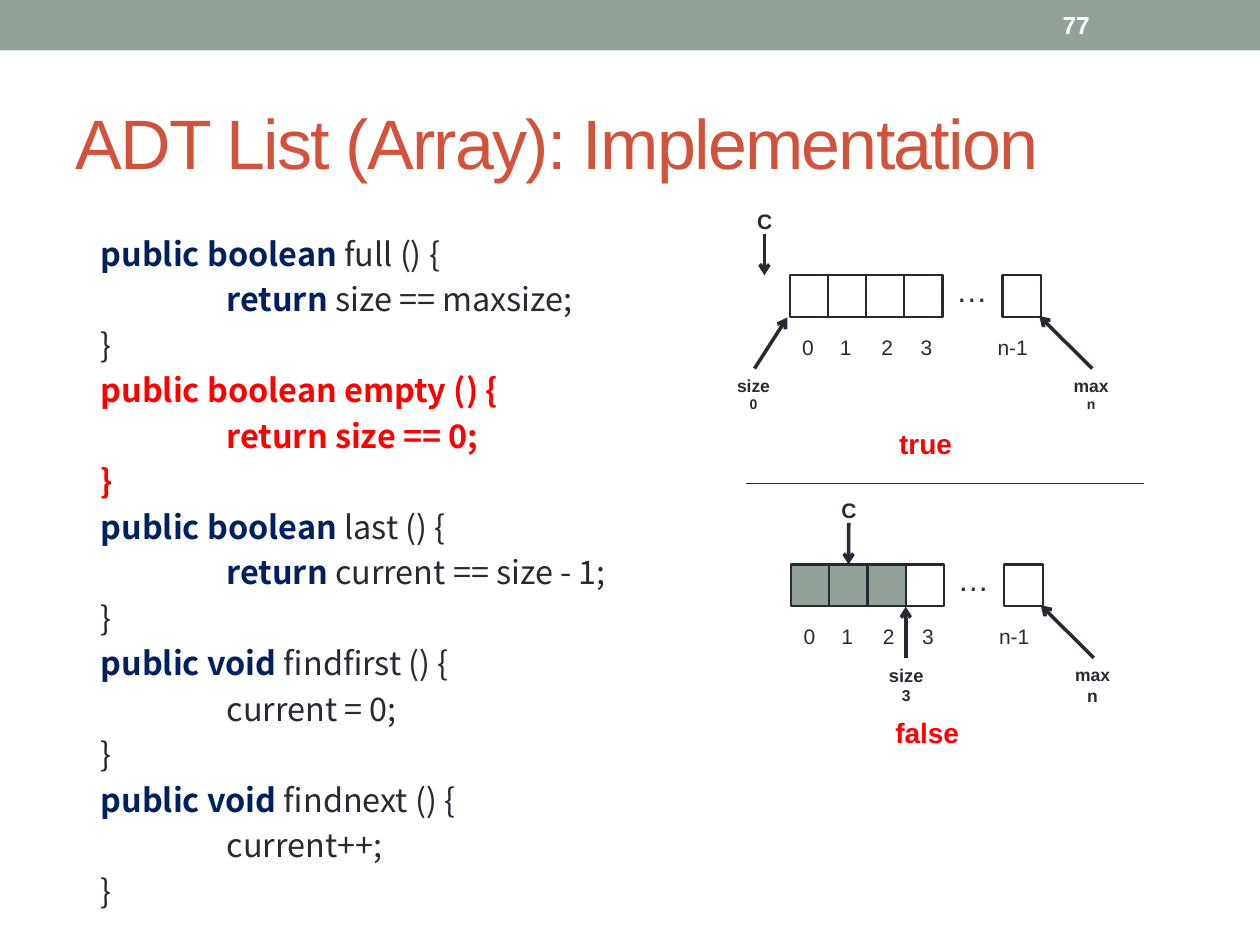
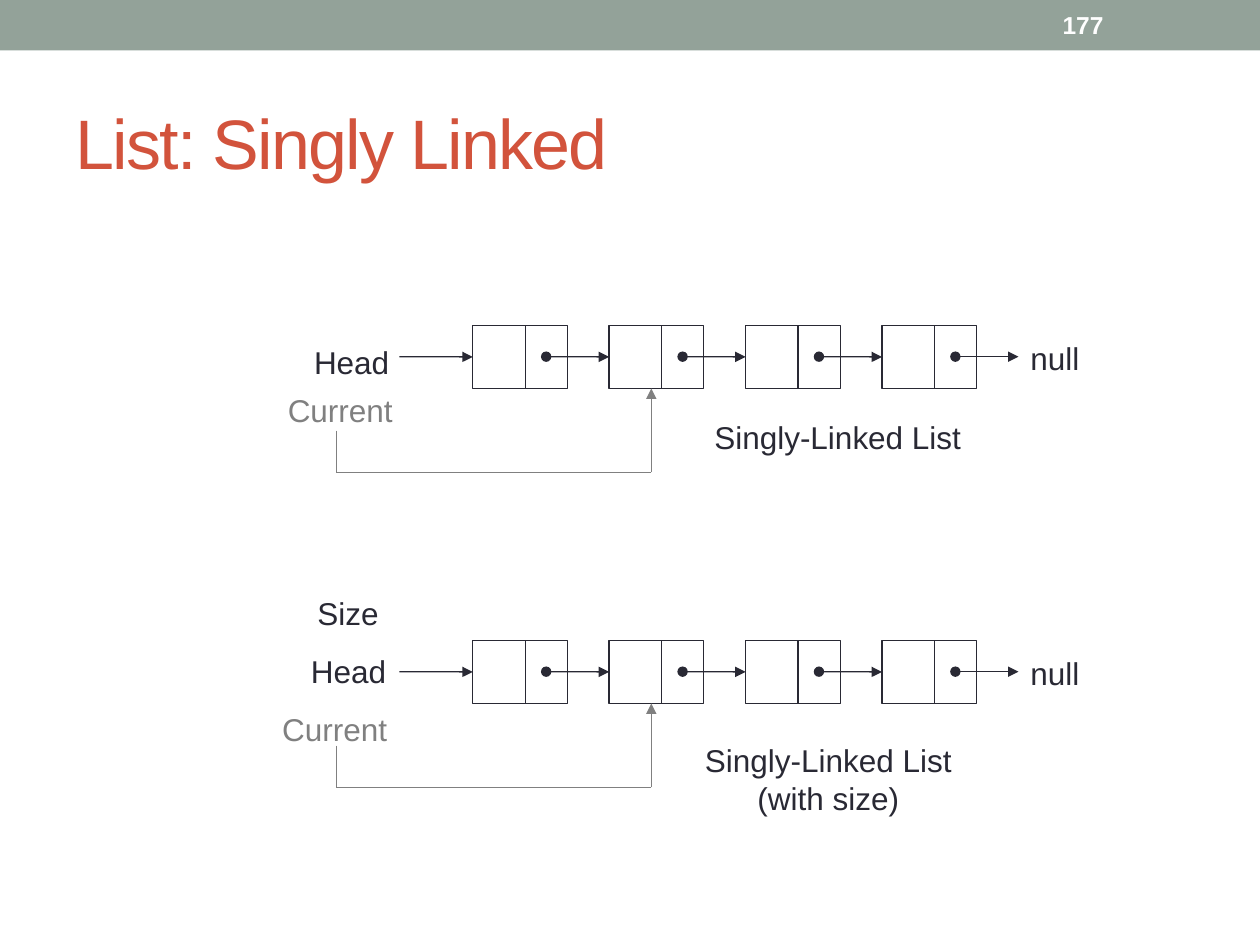
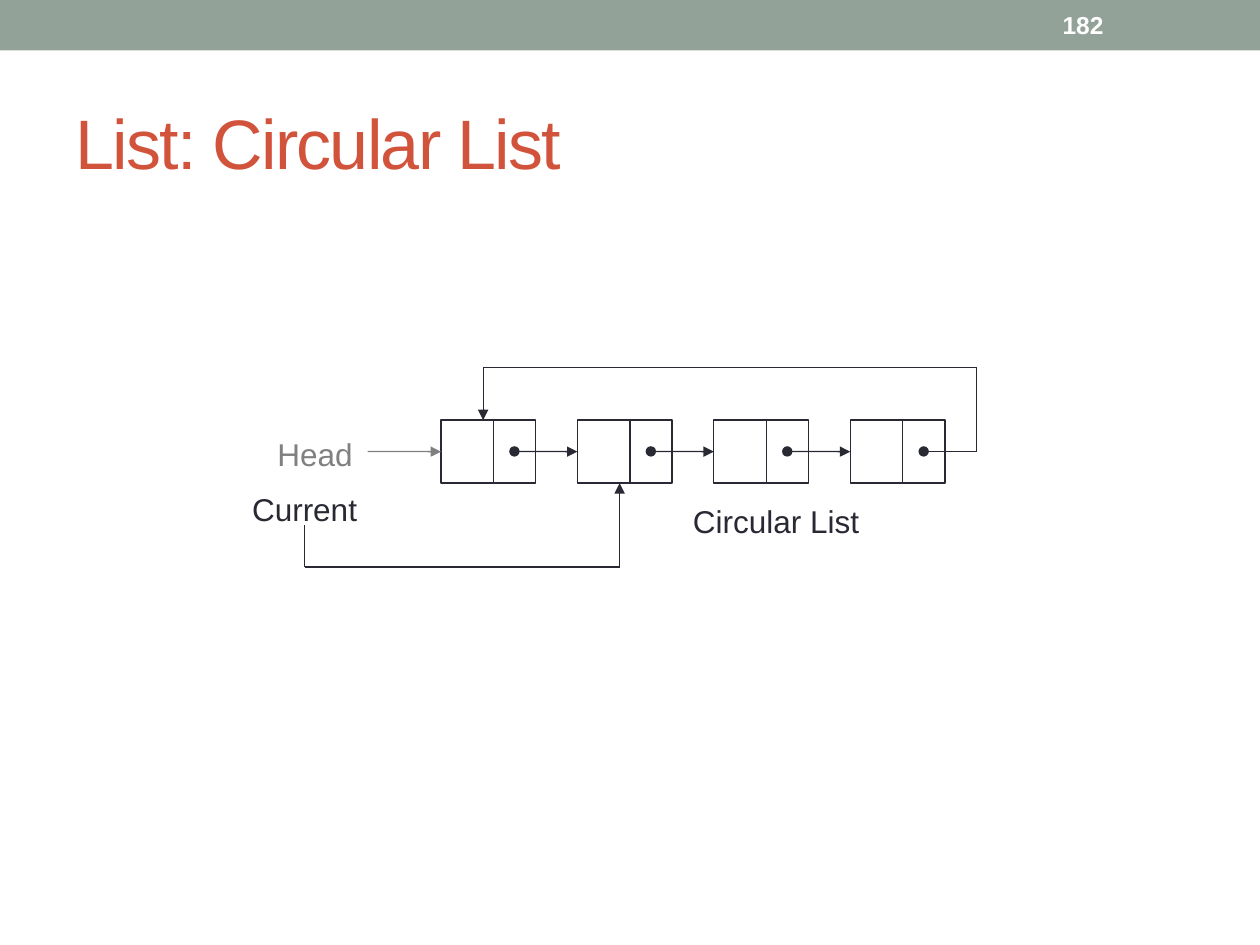
from pptx import Presentation
from pptx.dml.color import RGBColor
from pptx.enum.shapes import MSO_CONNECTOR, MSO_SHAPE
from pptx.enum.text import MSO_ANCHOR, PP_ALIGN
from pptx.oxml.ns import qn
from pptx.util import Cm, Pt
from lxml import etree

INK = RGBColor(0x29, 0x29, 0x34)
SAGE = RGBColor(0x93, 0xA2, 0x99)
RUST = RGBColor(0xD2, 0x53, 0x3C)
NAVY = RGBColor(0x00, 0x20, 0x60)
RED = RGBColor(0xFF, 0x00, 0x00)
GREY = RGBColor(0x80, 0x80, 0x80)
WHITE = RGBColor(0xFF, 0xFF, 0xFF)

RECT = MSO_SHAPE.RECTANGLE
STRAIGHT = MSO_CONNECTOR.STRAIGHT
LEFT, CENTER = PP_ALIGN.LEFT, PP_ALIGN.CENTER
TOP, MIDDLE = MSO_ANCHOR.TOP, MSO_ANCHOR.MIDDLE
SANS, MONO = "Arial", "Noto Sans CJK SC"

CODE = [
    (0, "public boolean ", "full () {", NAVY),
    (1, "return", " size == maxsize;", NAVY),
    (0, "", "}", NAVY),
    (0, "public boolean empty () {", "", RED),
    (1, "return size == 0;", "", RED),
    (0, "}", "", RED),
    (0, "public boolean ", "last () {", NAVY),
    (1, "return", " current == size - 1;", NAVY),
    (0, "", "}", NAVY),
    (0, "public void ", "findfirst () {", NAVY),
    (1, "", "current = 0;", NAVY),
    (0, "", "}", NAVY),
    (0, "public void ", "findnext () {", NAVY),
    (1, "", "current++;", NAVY),
    (0, "", "}", NAVY),
]


def apply(item, looks):
    for name, value in looks.items():
        setattr(item, name, value)


class Deck:
    def __init__(self):
        self.prs = Presentation()
        apply(self.prs, {"slide_width": Cm(25.4), "slide_height": Cm(19.05)})
        self.slide = None

    def page(self, title, number):
        self.slide = self.prs.slides.add_slide(self.prs.slide_layouts[6])
        self.rect(0, 0, 25.4, 1.02, SAGE, None)
        head = self.label(title, 1.27, 1.49, 22.86, 2.74, 40, RUST,
                          align=LEFT, anchor=MIDDLE, wrap=True)
        head.runs[0]._r.get_or_add_rPr().set("spc", "-100")
        self.label(number, 21.17, 0.05, 2.97, 0.91, 14, WHITE, True,
                   align=LEFT, anchor=MIDDLE, wrap=True)

    def rect(self, x, y, w, h, fill=None, width=0.75):
        shape = self.slide.shapes.add_shape(RECT, Cm(x), Cm(y), Cm(w), Cm(h))
        shape.shadow.inherit = False
        if fill is None:
            shape.fill.background()
        else:
            shape.fill.solid()
            shape.fill.fore_color.rgb = fill
        if width is None:
            shape.line.fill.background()
        else:
            shape.line.color.rgb = INK
            shape.line.width = Pt(width)
        return shape

    def frame(self, x, y, w, h, anchor=TOP, wrap=False):
        box = self.slide.shapes.add_textbox(Cm(x), Cm(y), Cm(w), Cm(h))
        apply(box.text_frame, {"word_wrap": wrap, "vertical_anchor": anchor})
        return box.text_frame

    def run(self, para, words, size, color, bold=False, face=SANS):
        part = para.add_run()
        part.text = words
        apply(part.font, {"name": face, "size": Pt(size), "bold": bold})
        part.font.color.rgb = color

    def label(self, words, x, y, w, h, size=18, color=INK, bold=False,
              small=None, align=CENTER, anchor=TOP, wrap=False):
        frame = self.frame(x, y, w, h, anchor, wrap)
        for i, line in enumerate(words.split("\n")):
            para = frame.add_paragraph() if i else frame.paragraphs[0]
            para.alignment = align
            self.run(para, line, small if i and small else size, color, bold)
        return frame.paragraphs[0]

    def code(self, x, y, w, h, rows):
        frame = self.frame(x, y, w, h, wrap=True)
        for i, (depth, key, rest, color) in enumerate(rows):
            para = frame.add_paragraph() if i else frame.paragraphs[0]
            props = para._p.get_or_add_pPr()
            props.set("marL", str(Cm(0.51 + 2.54 * depth)))
            props.set("indent", "0")
            para.line_spacing = Pt(26)
            if key:
                self.run(para, key, 18.5, color, True, MONO)
            if rest:
                self.run(para, rest, 18.5, INK, False, MONO)

    def line(self, start, end, color=INK, width=0.75, head=None, tail=None, join=None):
        link = self.slide.shapes.add_connector(
            STRAIGHT, *(Cm(v) for v in (*start, *end)))
        if join:
            link.end_connect(*join)
        link.line.color.rgb = color
        link.line.width = Pt(width)
        props = link._element.spPr
        for tag, kind in (("a:headEnd", head), ("a:tailEnd", tail)):
            if kind:
                etree.SubElement(props.find(qn("a:ln")), qn(tag), type=kind)
        etree.SubElement(props, qn("a:effectLst"))

    def trace(self, points, color=INK):
        last = len(points) - 2
        for i, (start, end) in enumerate(zip(points, points[1:])):
            self.line(start, end, color, tail="triangle" if i == last else None)

    def array(self, x, y, used, mark, aim, tag, end, result):
        cells = []
        for i, left in enumerate((0, 0.76, 1.6, 2.39)):
            fill = SAGE if i < used else WHITE
            cells.append(self.rect(x + 0.77 * i, y, 0.77, 0.84, fill, 1.25))
            self.label(str(i), x + left, y + 1.06, 0.79, 0.76, 12, align=LEFT)
        self.rect(x + 4.29, y, 0.78, 0.84, WHITE, 1.25)
        self.label("…", x + 3.1, y - 0.22, 1.14, 1.02)
        self.label("n-1", x + 3.94, y + 1.06, 1.35, 0.76, 12, align=LEFT)
        join = (cells[1], 0) if mark > 0 else None
        self.line((x + mark, y - 0.84), (x + mark, y), width=2, tail="arrow", join=join)
        self.label("C", x + mark - 0.4, y - 1.48, 0.81, 0.76, 12, bold=True)
        foot, tip = aim
        self.line((x + foot, y + 1.88), (x + tip, y + 0.85), width=2, tail="arrow")
        words, left, size, small = tag
        self.label(words, x + left, y + 1.88, 1.2, 1.05, size, bold=True, small=small)
        self.line((x + 6.1, y + 1.88), (x + 5.03, y + 0.82), width=2, tail="arrow")
        self.label("max\nn", x + 5.44, y + 1.88, 1.27, 1.02, 10, bold=True, small=end)
        self.label(result, x + 1.78, y + 2.93, 1.92, 0.94, 16, RED, True)

    def chain(self, x, y, first=INK, now=INK, loop=False):
        nodes = []
        for i in range(4):
            left = x + 2.75 * i
            nodes.append(self.rect(left, y, 1.06, 1.27))
            self.rect(left + 1.06, y, 0.85, 1.27)
        mid = y + 0.63
        self.line((x - 1.48, mid), (x, mid), first, tail="triangle", join=(nodes[0], 1))
        for i in range(3):
            left = x + 2.75 * i
            self.line((left + 1.48, mid), (left + 2.75, mid),
                      head="oval", tail="triangle", join=(nodes[i + 1], 1))
        last = x + 9.73
        if loop:
            turn = x + 10.8
            self.line((turn, mid), (last, mid), tail="oval")
            self.trace([(turn, mid), (turn, y - 1.06), (x + 0.85, y - 1.06), (x + 0.85, y)])
        else:
            self.line((last, mid), (x + 11, mid), head="oval", tail="triangle")
            self.label("null", x + 10.99, y + 0.14, 1.68, 1.02, align=LEFT)
        self.trace([(x - 2.75, y + 2.12), (x - 2.75, y + 2.96),
                    (x + 3.6, y + 2.96), (x + 3.6, y + 1.27)], now)


def main():
    deck = Deck()

    deck.page("ADT List (Array): Implementation", "77")
    deck.code(1.27, 4.46, 22.86, 13.54, CODE)
    deck.array(15.92, 5.55, 0, -0.51, (-0.71, -0.05), ("size\n0", -1.33, 10, 8), 8, "true")
    deck.array(15.95, 11.38, 3, 1.16, (2.31, 2.31), ("size\n3", 1.72, 10.5, 9), 10, "false")
    deck.line((15.03, 9.74), (23.06, 9.74))

    deck.page("List: Singly Linked", "177")
    deck.chain(9.53, 6.56, now=GREY)
    deck.label("Head", 5.82, 6.76, 2.54, 1.07, anchor=MIDDLE)
    deck.label("Current", 5.26, 7.72, 3.2, 1.07, color=GREY, anchor=MIDDLE)
    deck.label("Singly-Linked List", 14.15, 8.31, 5.84, 1.09, align=LEFT)
    deck.chain(9.53, 12.91, now=GREY)
    for words, x, y, color in (("Size", 6.15, 11.86, INK), ("Head", 6.02, 13.02, INK),
                               ("Current", 5.44, 14.19, GREY)):
        deck.label(words, x, y, 2.97, 1.07, color=color, align=LEFT, wrap=True)
    deck.label("Singly-Linked List\n(with size)", 13.65, 14.81, 6.1, 1.8)

    deck.page("List: Circular List", "182")
    deck.chain(8.89, 8.47, first=GREY, loop=True)
    deck.label("Head", 5.08, 8.62, 2.54, 1.07, color=GREY, anchor=MIDDLE)
    deck.label("Current", 4.54, 9.73, 3.2, 1.07, anchor=MIDDLE)
    deck.label("Circular List", 13.72, 10, 4.09, 1.09, align=LEFT)

    deck.prs.save("out.pptx")


if __name__ == "__main__":
    main()
